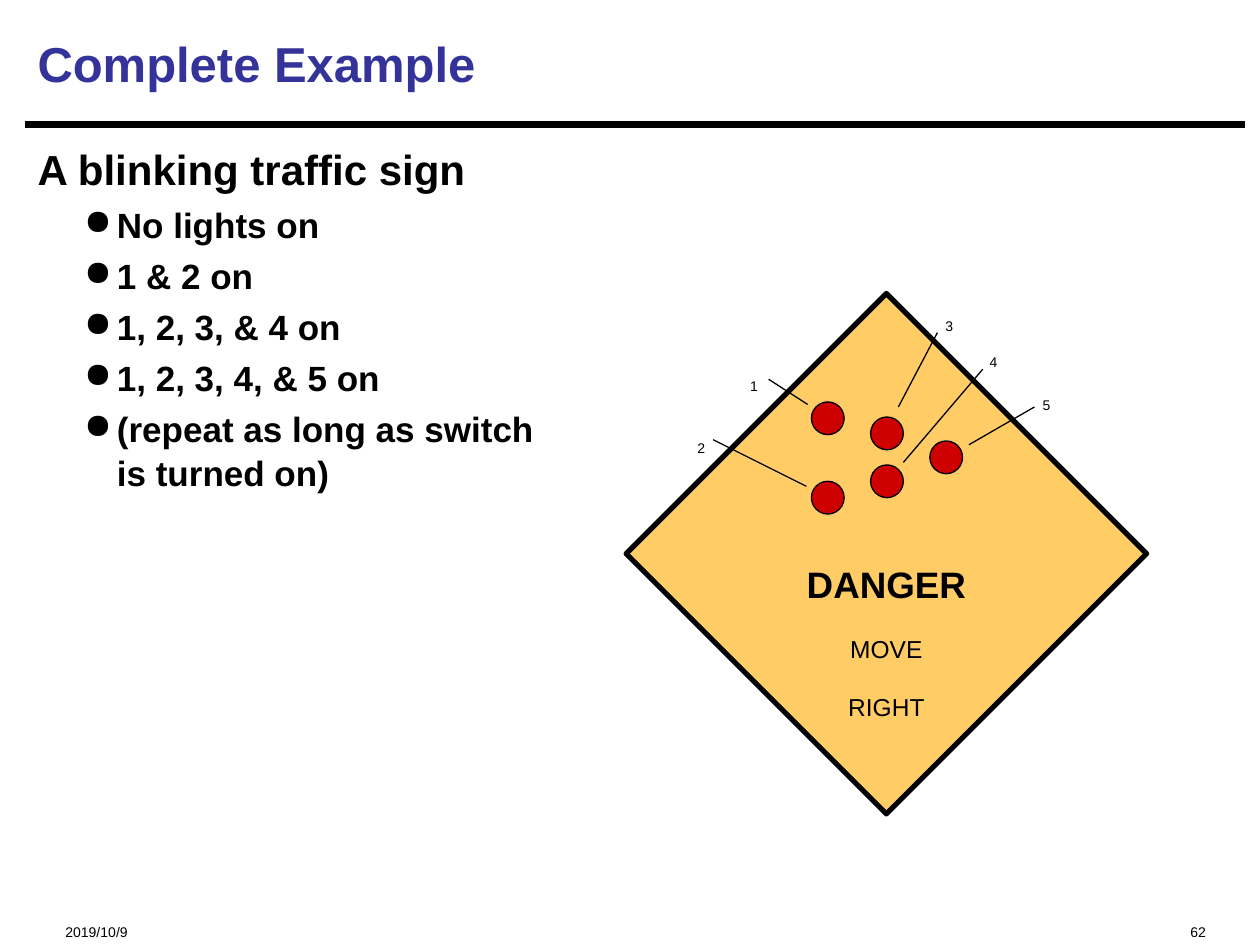
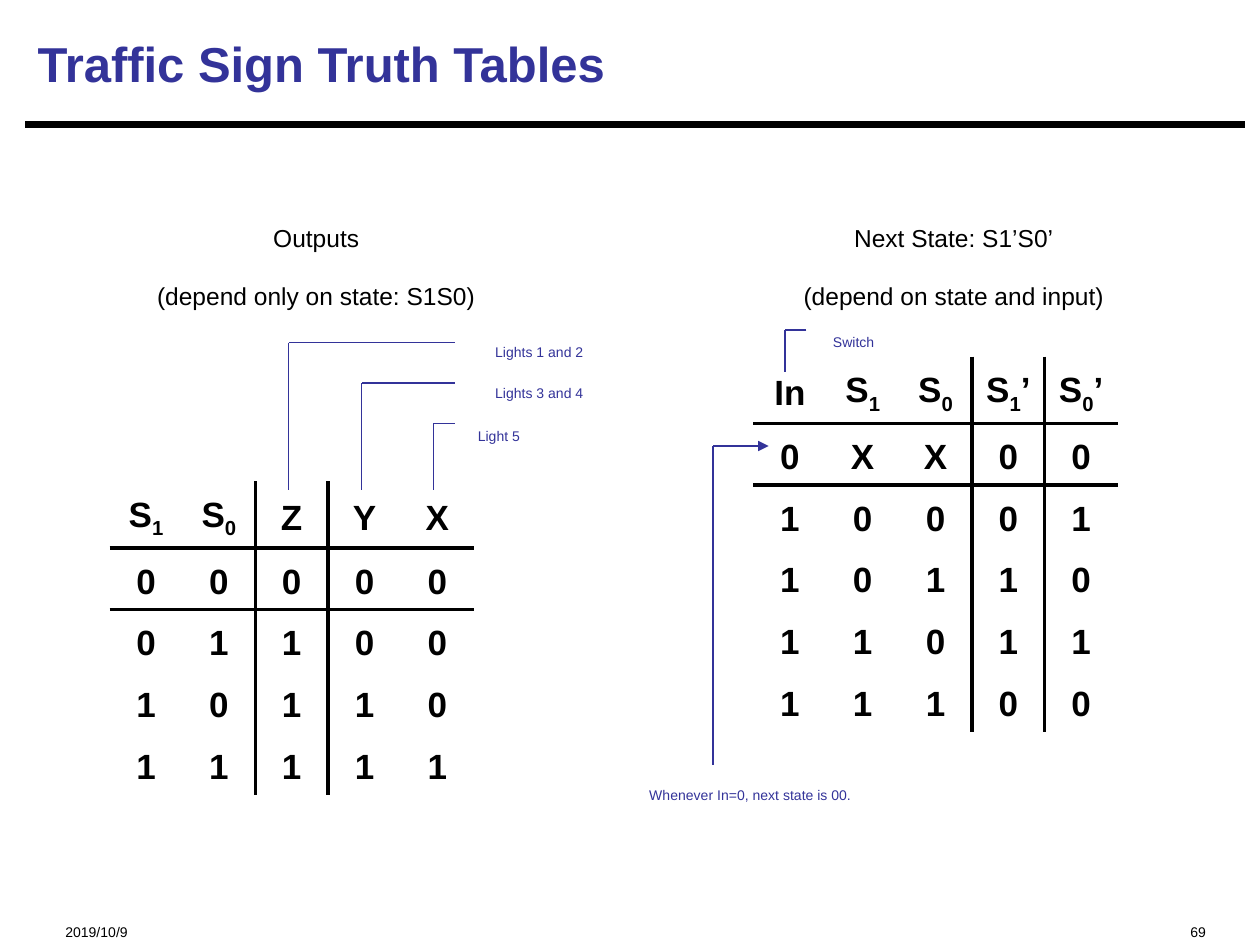
from lxml import etree
from pptx import Presentation
from pptx.dml.color import RGBColor
from pptx.enum.shapes import MSO_CONNECTOR, MSO_SHAPE
from pptx.enum.text import MSO_ANCHOR, PP_ALIGN
from pptx.oxml.ns import qn
from pptx.util import Inches, Pt

LEFT, CENTER, RIGHT = PP_ALIGN.LEFT, PP_ALIGN.CENTER, PP_ALIGN.RIGHT
MIDDLE = MSO_ANCHOR.MIDDLE
STRAIGHT = MSO_CONNECTOR.STRAIGHT
DIAMOND, OVAL = MSO_SHAPE.DIAMOND, MSO_SHAPE.OVAL
rgb = RGBColor.from_string
BLACK, NAVY, AMBER, RED = "000000", "333399", "FFCC66", "CE0000"
FONT = "Arial"
PLAIN_TABLE = "{2D5ABB26-0587-4C30-8999-92F81FD0307C}"
LINE_FACTOR = 2.35


def add_text(slide, box, lines, align=CENTER, color=BLACK, wrap=False):
    frame = slide.shapes.add_textbox(*map(Inches, box)).text_frame
    frame.word_wrap = wrap
    for index, (text, size, bold) in enumerate(lines):
        paragraph = frame.paragraphs[0] if index == 0 else frame.add_paragraph()
        paragraph.text = text
        paragraph.alignment = align
        paragraph.line_spacing = Pt(round(size * LINE_FACTOR))
        paragraph.font.name = FONT
        paragraph.font.size = Pt(size)
        paragraph.font.bold = bold
        paragraph.font.color.rgb = rgb(color)
    return frame


def draw_line(slide, ends, color=BLACK, width=0.75):
    line = slide.shapes.add_connector(STRAIGHT, *map(Inches, ends))
    line.line.color.rgb = rgb(color)
    line.line.width = Pt(width)
    etree.SubElement(line._element.spPr, qn("a:effectLst"))
    return line


deck = Presentation()
deck.slide_width, deck.slide_height = Inches(10), Inches(7.5)

slides = []
for title, number in (("Complete Example", "62"), ("Traffic Sign Truth Tables", "69")):
    slide = deck.slides.add_slide(deck.slide_layouts[6])
    draw_line(slide, (0.2, 0.99, 9.88, 0.99), width=3.75)
    add_text(slide, (0.42, 7.15, 2.5, 0.27), [("2019/10/9", 8, False)], LEFT, wrap=True)
    add_text(slide, (6.67, 7.15, 3, 0.27), [(number, 8, False)], RIGHT, wrap=True)
    heading = add_text(slide, (0.2, 0.08, 9.67, 0.84), [(title, 28, True)], LEFT, NAVY, True)
    heading.vertical_anchor = MIDDLE
    heading.paragraphs[0].line_spacing = 1.0
    slides.append(slide)
example, truth_tables = slides

steps = add_text(example, (0.2, 1.07, 9.67, 5.99), [
    ("A blinking traffic sign", 24, True),
    ("No lights on", 20, True),
    ("1 & 2 on", 20, True),
    ("1, 2, 3, & 4 on", 20, True),
    ("1, 2, 3, 4, & 5 on", 20, True),
    ("(repeat as long as switch\vis turned on)", 20, True),
], LEFT, wrap=True)
for index, step in enumerate(steps.paragraphs):
    step.line_spacing = 1.05
    if index:
        step.space_before = Pt(4)
        properties = step._p.get_or_add_pPr()
        properties.set("marL", str(Inches(0.63)))
        properties.set("indent", str(Inches(-0.26)))
        bullet = etree.Element(qn("a:buChar"), char="●")
        properties.find(qn("a:defRPr")).addprevious(bullet)

sign = example.shapes.add_shape(DIAMOND, Inches(4.97), Inches(2.33), Inches(4.13), Inches(4.13))
sign.shadow.inherit = False
sign.fill.solid()
sign.fill.fore_color.rgb = rgb(AMBER)
sign.line.color.rgb = rgb(BLACK)
sign.line.width = Pt(3)
add_text(example, (5.85, 4.08, 2.37, 1.5),
         [("DANGER", 21, True), ("MOVE", 14, False), ("RIGHT", 14, False)])

lights = [
    ((6.44, 3.19), (5.83, 2.82), (6.1, 3.01, 6.41, 3.21)),
    ((6.44, 3.82), (5.41, 3.31), (5.66, 3.49, 6.4, 3.86)),
    ((6.91, 3.31), (7.38, 2.34), (7.44, 2.64, 7.13, 3.23)),
    ((6.91, 3.69), (7.73, 2.63), (7.8, 2.93, 7.17, 3.67)),
    ((7.38, 3.5), (8.15, 2.97), (8.21, 3.23, 7.69, 3.53)),
]
for number, (lamp_corner, label_corner, pointer) in enumerate(lights, 1):
    lamp = example.shapes.add_shape(OVAL, *map(Inches, (*lamp_corner, 0.26, 0.26)))
    lamp.shadow.inherit = False
    lamp.fill.solid()
    lamp.fill.fore_color.rgb = rgb(RED)
    lamp.line.color.rgb = rgb(BLACK)
    lamp.line.width = Pt(0.75)
    add_text(example, (*label_corner, 0.31, 0.33), [(str(number), 8, False)])
    draw_line(example, pointer)

captions = [
    ((0.31, 1.5, 4.4, 0.9), "Outputs", "(depend only on state: S1S0)"),
    ((5.43, 1.5, 4.28, 0.9), "Next State: S1’S0’", "(depend on state and input)"),
]
for box, subject, dependency in captions:
    add_text(truth_tables, box, [(subject, 14, False), (dependency, 14, False)])

outputs = ["S_1 S_0 Z Y X", "0 0 0 0 0", "0 1 1 0 0", "1 0 1 1 0", "1 1 1 1 1"]
next_state = ["In S_1 S_0 S_1’ S_0’", "0 X X 0 0", "1 0 0 0 1", "1 0 1 1 0",
              "1 1 0 1 1", "1 1 1 0 0"]
for left, top, header_height, inputs, rows in (
    (0.87, 3.82, 0.49, 2, outputs),
    (5.98, 2.83, 0.47, 3, next_state),
):
    height = header_height + 0.49 * (len(rows) - 1)
    table = truth_tables.shapes.add_table(
        len(rows), 5, Inches(left), Inches(top), Inches(2.89), Inches(height)).table
    table.first_row = table.horz_banding = False
    table._tbl.tblPr.find(qn("a:tableStyleId")).text = PLAIN_TABLE
    for r, row in enumerate(rows):
        table.rows[r].height = Inches(0.49 if r else header_height)
        for c, value in enumerate(row.split()):
            cell = table.cell(r, c)
            cell.fill.background()
            cell.vertical_anchor = MIDDLE
            cell.margin_top = Inches(0.1)
            paragraph = cell.text_frame.paragraphs[0]
            paragraph.alignment = CENTER
            paragraph.font.name = FONT
            paragraph.font.size = Pt(20)
            paragraph.font.bold = True
            paragraph.font.color.rgb = rgb(BLACK)
            base, _, index = value.partition("_")
            paragraph.add_run().text = base
            if index:
                subscript = paragraph.add_run()
                subscript.text = index[0]
                subscript.font._element.set("baseline", "-25000")
            if index[1:]:
                paragraph.add_run().text = index[1:]
            borders = {"lnB": r == 0, "lnT": r == 1,
                       "lnR": c == inputs - 1, "lnL": c == inputs}
            for side, shown in borders.items():
                if shown:
                    edge = etree.Element(qn(f"a:{side}"), w=str(Pt(2.25)))
                    fill = etree.SubElement(edge, qn("a:solidFill"))
                    etree.SubElement(fill, qn("a:srgbClr"), val=BLACK)
                    cell._tc.get_or_add_tcPr().insert(0, edge)

notes = [
    ((3.57, 2.55, 1.42, 0.33), "Lights 1 and 2"),
    ((3.57, 2.87, 1.42, 0.33), "Lights 3 and 4"),
    ((3.57, 3.21, 0.78, 0.33), "Light 5"),
    ((6.39, 2.47, 0.77, 0.33), "Switch"),
    ((4.46, 6.06, 2.99, 0.33), "Whenever In=0, next state is 00."),
]
for box, note in notes:
    add_text(truth_tables, box, [(note, 8, False)], color=NAVY)

for column, level, start, bottom in (
    (2.29, 2.72, 3.61, 3.89),
    (2.87, 3.04, 3.61, 3.89),
    (3.44, 3.36, 3.61, 3.89),
    (6.23, 2.62, 6.4, 2.95),
    (5.66, 3.54, None, 6.07),
):
    draw_line(truth_tables, (column, level, column, bottom), NAVY)
    if start:
        draw_line(truth_tables, (start, level, column, level), NAVY)
reset_arrow = draw_line(truth_tables, (5.66, 3.54, 6.1, 3.54), NAVY)
etree.SubElement(reset_arrow.line._get_or_add_ln(), qn("a:tailEnd"), type="triangle")

deck.save("out.pptx")
